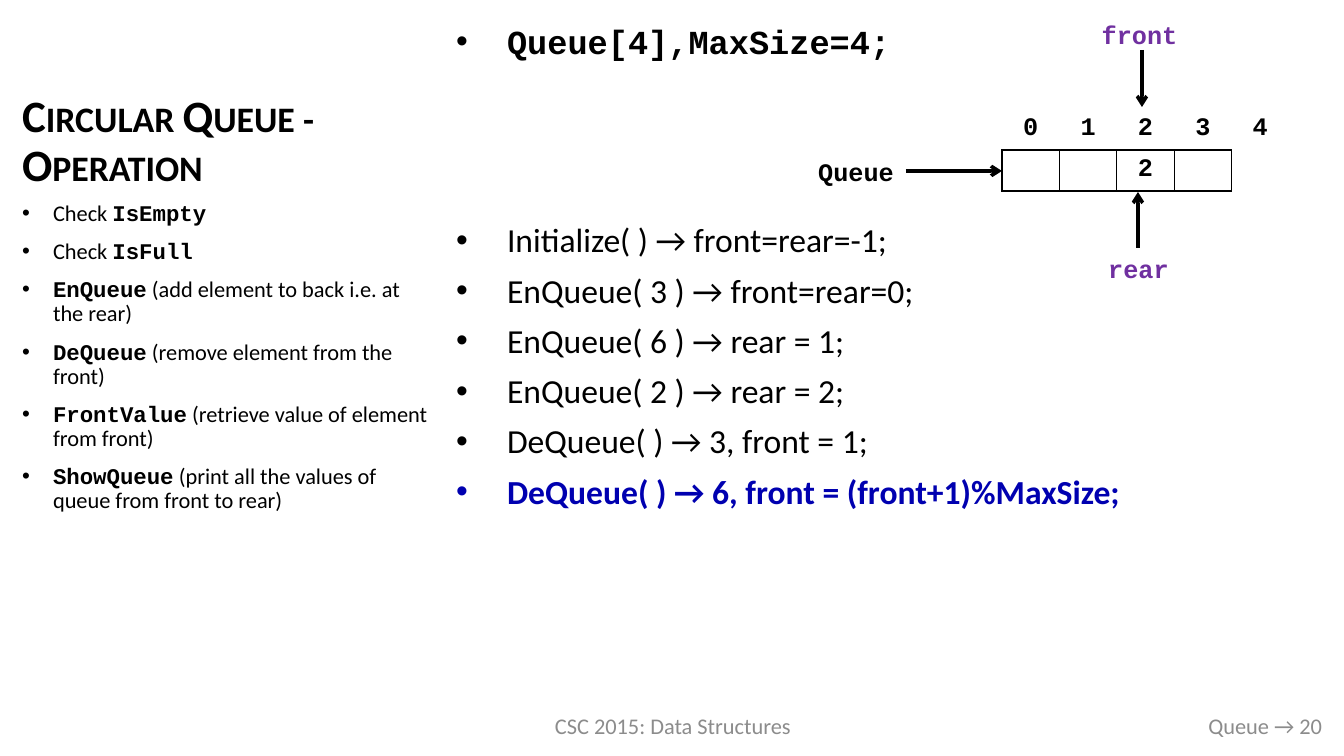
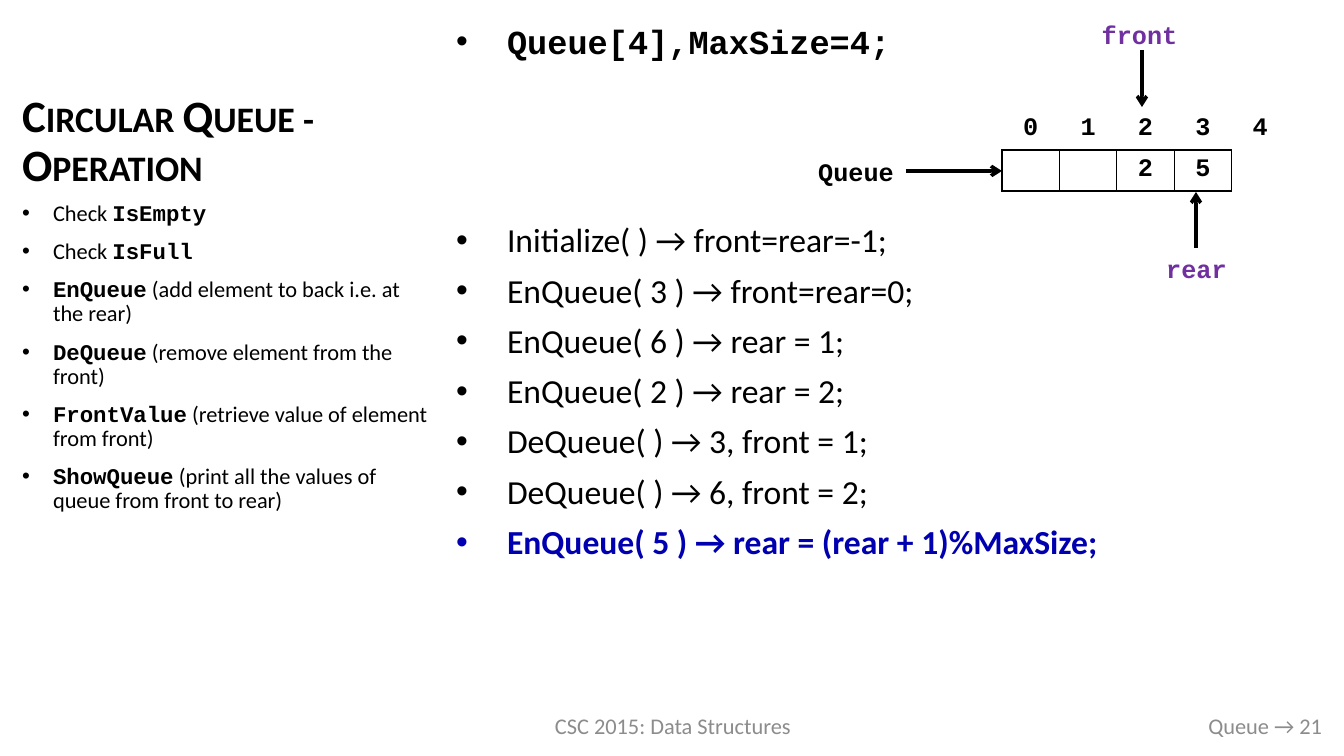
from dataclasses import dataclass

from lxml.etree import SubElement
from pptx import Presentation
from pptx.dml.color import RGBColor
from pptx.enum.shapes import MSO_CONNECTOR
from pptx.enum.text import MSO_ANCHOR, MSO_AUTO_SIZE, PP_ALIGN
from pptx.oxml.ns import qn
from pptx.util import Pt

EMU_PER_PIXEL = 914400 / 100.8


@dataclass(frozen=True)
class Theme:
    sans: str = "Calibri"
    mono: str = "Courier New"
    black: str = "000000"
    gray: str = "8C8C8C"
    blue: str = "0000B0"
    purple: str = "7030A0"
    title_size: int = 32
    step_size: int = 24
    label_size: int = 18
    small_size: int = 16
    border_width: float = 1
    arrow_width: float = 2.5


THEME = Theme()

OPERATIONS = [
    [("Check ", False), ("IsEmpty", True)],
    [("Check ", False), ("IsFull", True)],
    [("EnQueue", True), (" (add element to back i.e. at the rear)", False)],
    [("DeQueue", True), (" (remove element from the front)", False)],
    [("FrontValue", True), (" (retrieve value of element from front)", False)],
    [("ShowQueue", True), (" (print all the values of queue from front to rear)", False)],
]

DECLARATION = "Queue[4],MaxSize=4;"
FIRST_STEPS = [
    "Initialize( ) → front=rear=-1;",
    "EnQueue( 3 ) → front=rear=0;",
    "EnQueue( 6 ) → rear = 1;",
    "EnQueue( 2 ) → rear = 2;",
    "DeQueue( ) → 3, front = 1;",
]

SLIDES = [
    dict(number=20, steps=FIRST_STEPS, values={2: "2"}, rear=2,
         current="DeQueue( ) → 6, front = (front+1)%MaxSize;"),
    dict(number=21, steps=FIRST_STEPS + ["DeQueue( ) → 6, front = 2;"],
         values={2: "2", 3: "5"}, rear=3,
         current="EnQueue( 5 ) → rear = (rear + 1)%MaxSize;"),
]


def emu(pixels):
    return round(pixels * EMU_PER_PIXEL)


def apply(target, formats):
    for name, value in formats.items():
        setattr(target, name, value)


def place(shape, box):
    apply(shape, dict(zip(("left", "top", "width", "height"), map(emu, box))))


def add_span(para, text, size, color=THEME.black, mono=False, bold=False):
    span = para.add_run()
    span.text = text
    apply(span.font, dict(name=THEME.mono if mono else THEME.sans,
                          size=Pt(size), bold=bold))
    span.font.color.rgb = RGBColor.from_string(color)
    return span


def add_label(page, box, text, **style):
    align = style.pop("align", PP_ALIGN.CENTER)
    anchor = style.pop("anchor", MSO_ANCHOR.TOP)
    label = page.shapes.add_textbox(*map(emu, box))
    apply(label.text_frame, dict(word_wrap=True, vertical_anchor=anchor))
    para = label.text_frame.paragraphs[0]
    para.alignment = align
    add_span(para, text, **style)


def add_arrow(page, start, end):
    arrow = page.shapes.add_connector(MSO_CONNECTOR.STRAIGHT, *map(emu, start + end))
    arrow.line.color.rgb = RGBColor.from_string(THEME.black)
    arrow.line.width = Pt(THEME.arrow_width)
    properties = arrow.element.spPr
    SubElement(properties.find(qn("a:ln")), qn("a:tailEnd"), type="arrow")
    SubElement(properties, qn("a:effectLst"))


def fill_title(title, box):
    place(title, box)
    apply(title.text_frame, dict(vertical_anchor=MSO_ANCHOR.BOTTOM, word_wrap=True,
                                 auto_size=MSO_AUTO_SIZE.NONE))
    para = title.text_frame.paragraphs[0]
    apply(para, dict(alignment=PP_ALIGN.LEFT, line_spacing=0.9))
    span = add_span(para, "Circular Queue - Operation", THEME.title_size, bold=True)
    span.font._element.set("cap", "small")


def fill_list(body, box, items, indent):
    place(body, box)
    frame = body.text_frame
    apply(frame, dict(word_wrap=True, auto_size=MSO_AUTO_SIZE.NONE,
                      vertical_anchor=MSO_ANCHOR.TOP))
    for index, (before, spans) in enumerate(items):
        para = frame.add_paragraph() if index else frame.paragraphs[0]
        apply(para, dict(alignment=PP_ALIGN.LEFT, line_spacing=0.9,
                         space_before=Pt(before), space_after=Pt(0)))
        properties = para._p.get_or_add_pPr()
        properties.set("marL", str(emu(indent)))
        properties.set("indent", str(-emu(indent)))
        SubElement(properties, qn("a:buFont"), typeface="Arial")
        SubElement(properties, qn("a:buChar"), char="•")
        for span in spans:
            add_span(para, **span)


def fill_operations(body, box):
    items = [(10, [dict(text=text, size=THEME.small_size, mono=code, bold=code)
                   for text, code in spans]) for spans in OPERATIONS]
    fill_list(body, box, items, 31)


def fill_steps(body, box, steps, current):
    size = THEME.step_size
    items = [(10, [dict(text=DECLARATION, size=size, mono=True, bold=True)])]
    items += [(10 if index else 116, [dict(text=step, size=size)])
              for index, step in enumerate(steps)]
    items.append((10, [dict(text=current, size=size, color=THEME.blue, bold=True)]))
    fill_list(body, box, items, 51)


def set_borders(cell, sides):
    properties = cell._tc.get_or_add_tcPr()
    for position, side in enumerate("LRTB"):
        border = SubElement(properties, qn("a:ln" + side), w=str(Pt(THEME.border_width)))
        properties.insert(position, border)
        if side in sides:
            fill = SubElement(border, qn("a:solidFill"))
            SubElement(fill, qn("a:srgbClr"), val=THEME.black)
        else:
            SubElement(border, qn("a:noFill"))


def add_array(page, box, values, slots=4):
    columns = slots + 1
    table = page.shapes.add_table(2, columns, *map(emu, box)).table
    apply(table, dict(first_row=False, horz_banding=False))
    for column in table.columns:
        column.width = emu(box[2] / columns)
    for row in table.rows:
        row.height = emu(box[3] / 2)
    for index in range(columns):
        inside = index < slots
        rows = [(str(index), "B" if inside else ""),
                (values.get(index, ""), "LRTB" if inside else "L")]
        for row, (text, sides) in enumerate(rows):
            cell = table.cell(row, index)
            cell.fill.background()
            set_borders(cell, sides)
            para = cell.text_frame.paragraphs[0]
            para.alignment = PP_ALIGN.CENTER
            if text:
                add_span(para, text, THEME.label_size, mono=True, bold=True)


def add_queue(page, box, values, rear):
    left, top, width, height = box
    style = dict(size=THEME.label_size, mono=True, bold=True)
    pointer = dict(style, color=THEME.purple)
    add_array(page, box, values)

    rear_x = left + 136 + 58 * (rear - 2)
    rear_y = top + height + 57
    add_label(page, (rear_x - 42, rear_y, 85, 40), "rear", **pointer)
    add_arrow(page, (rear_x, rear_y), (rear_x, rear_y - 56))

    front_x = left + 140
    add_label(page, (front_x - 54, top - 95, 103, 40), "front", **pointer)
    add_arrow(page, (front_x, top - 59), (front_x, top - 2))

    queue_y = top + 62
    add_label(page, (left - 196, queue_y - 20, 100, 40), "Queue", **style)
    add_arrow(page, (left - 96, queue_y), (left, queue_y))


def add_footer(page, box, number):
    left, top, width, height = box
    style = dict(size=THEME.small_size, color=THEME.gray, anchor=MSO_ANCHOR.MIDDLE)
    add_label(page, (left, top, 454, height), "CSC 2015: Data Structures", **style)
    add_label(page, (left + width - 382, top, 382, height), f"Queue → {number}",
              align=PP_ALIGN.RIGHT, **style)


def add_queue_slide(deck, number, steps, current, values, rear):
    page = deck.slides.add_slide(deck.slide_layouts[7])
    title, main, side = page.placeholders
    fill_title(title, (12, 20, 433, 176))
    fill_steps(main, (446, 20, 853, 681), steps, current)
    fill_operations(side, (12, 197, 433, 505))
    add_footer(page, (446, 706, 886, 40), number)
    add_queue(page, (1002, 109, 287, 82), values, rear)


deck = Presentation()
apply(deck, dict(slide_width=emu(1344), slide_height=emu(756)))
for content in SLIDES:
    add_queue_slide(deck, **content)
deck.save("out.pptx")
